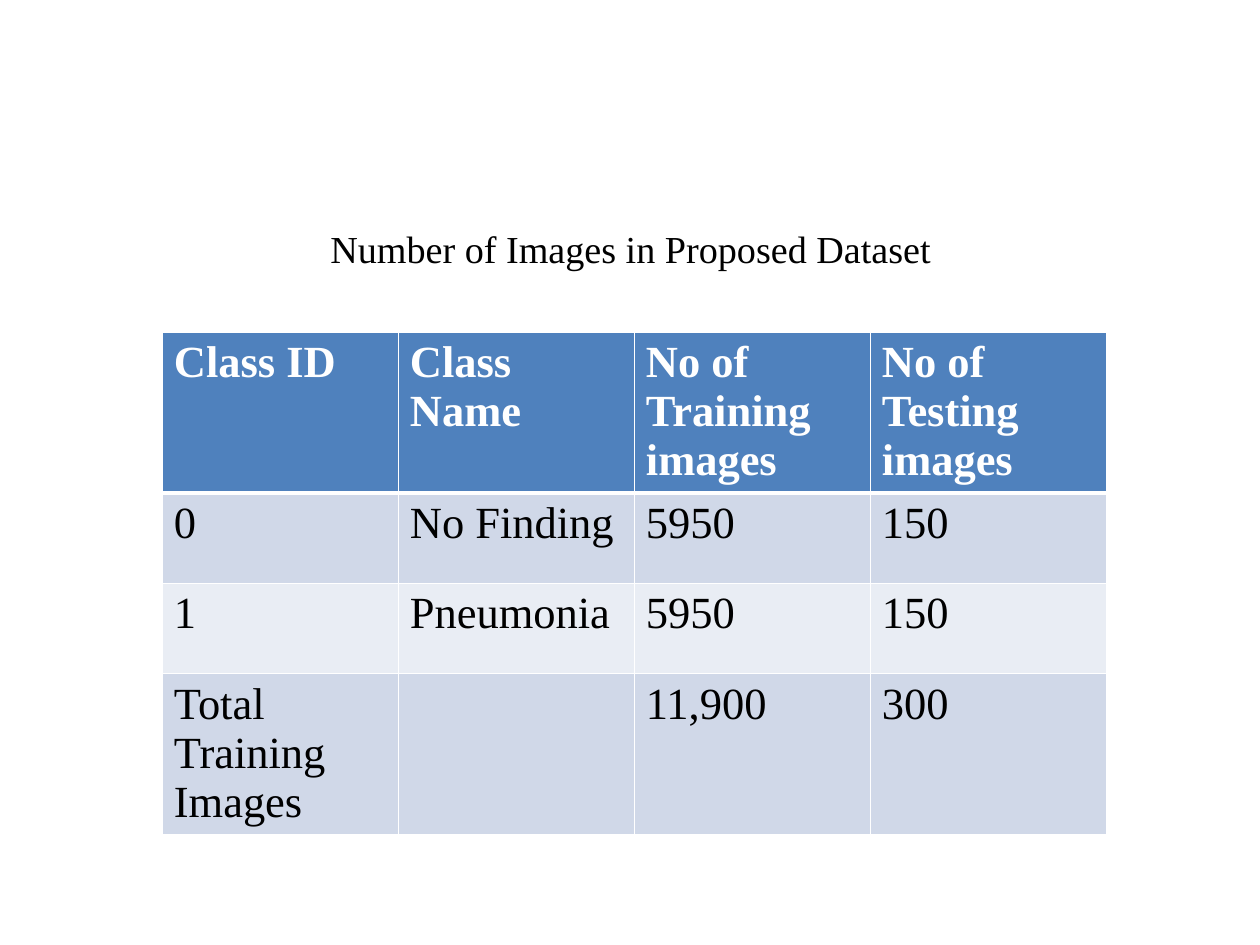
from lxml import etree
from pptx import Presentation
from pptx.dml.color import RGBColor
from pptx.enum.text import MSO_ANCHOR, PP_ALIGN
from pptx.oxml.ns import qn
from pptx.util import Pt

CENTER = PP_ALIGN.CENTER
TOP = MSO_ANCHOR.TOP
TITLE_ONLY = 5

COLORS = {
    "text": "000000",
    "header_text": "FFFFFF",
    "header": "4F81BD",
    "odd_row": "D0D8E8",
    "even_row": "E9EDF4",
    "border": "FFFFFF",
}
DATASET_ROWS = [
    ["Class ID", "Class Name", "No of Training images", "No of Testing images"],
    ["0", "No Finding", "5950", "150"],
    ["1", "Pneumonia", "5950", "150"],
    ["Total Training Images", "", "11,900", "300"],
]
ROW_HEIGHTS = [101.5, 56.75, 56.75, 101.5]


class SlideBuilder:
    def __init__(self, page, font):
        self.page = page
        self.font = font

    def format_text(self, frame, size, color, bold=False):
        for para in frame.paragraphs:
            for span in para.runs:
                span.font.name = self.font
                span.font.size = Pt(size)
                span.font.bold = bold
                span.font.color.rgb = RGBColor.from_string(COLORS[color])

    def title(self, text, left, top, width, height, size):
        box = self.page.shapes.title
        box.left, box.top, box.width, box.height = map(Pt, (left, top, width, height))
        frame = box.text_frame
        frame.margin_left = frame.margin_right = 0
        frame.margin_top = frame.margin_bottom = 0
        frame.vertical_anchor = TOP
        frame.word_wrap = True
        frame.text = text
        frame.paragraphs[0].alignment = CENTER
        self.format_text(frame, size, "text")

    def border(self, cell, widths):
        """Draw cell borders; widths are points for left, right, top and bottom."""
        properties = cell._tc.get_or_add_tcPr()
        for index, (side, width) in enumerate(zip("LRTB", widths)):
            line = etree.Element(qn(f"a:ln{side}"), w=str(Pt(width)))
            fill = etree.SubElement(line, qn("a:solidFill"))
            etree.SubElement(fill, qn("a:srgbClr"), val=COLORS["border"])
            properties.insert(index, line)

    def table(self, rows, left, top, column_width, row_heights, size):
        columns = len(rows[0])
        table = self.page.shapes.add_table(
            len(rows), columns, Pt(left), Pt(top),
            Pt(column_width * columns), Pt(sum(row_heights)),
        ).table
        for column in table.columns:
            column.width = Pt(column_width)
        for r, (values, height) in enumerate(zip(rows, row_heights)):
            table.rows[r].height = Pt(height)
            header = r == 0
            fill = "header" if header else "odd_row" if r % 2 else "even_row"
            for c, value in enumerate(values):
                cell = table.cell(r, c)
                cell.text = value
                cell.fill.solid()
                cell.fill.fore_color.rgb = RGBColor.from_string(COLORS[fill])
                self.format_text(cell.text_frame, size,
                                 "header_text" if header else "text", bold=header)
                self.border(cell, (1, 1, 3 if r == 1 else 1, 3 if header else 1))


def main():
    deck = Presentation()
    deck.slide_width, deck.slide_height = Pt(792.72), Pt(594.72)
    page = deck.slides.add_slide(deck.slide_layouts[TITLE_ONLY])
    builder = SlideBuilder(page, "Times New Roman")
    builder.title("Number of Images in Proposed Dataset", 54, 142, 685.5, 29, size=24)
    builder.table(DATASET_ROWS, 102.25, 209, 148.5, ROW_HEIGHTS, size=28)
    deck.save("out.pptx")


if __name__ == "__main__":
    main()
